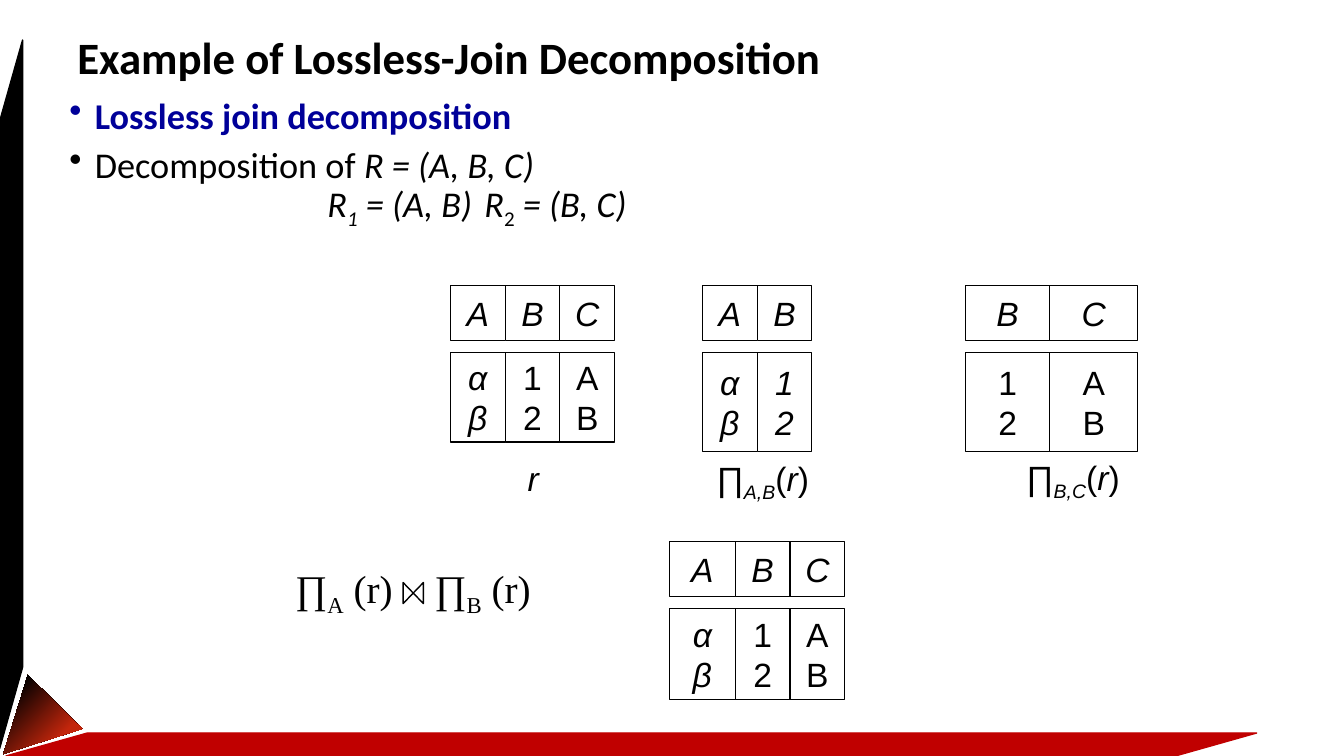
from dataclasses import dataclass

from lxml.etree import SubElement
from pptx import Presentation
from pptx.dml.color import RGBColor
from pptx.enum.shapes import MSO_SHAPE as Preset
from pptx.enum.text import MSO_ANCHOR as Anchor, PP_ALIGN as Align
from pptx.oxml import parse_xml
from pptx.oxml.ns import nsdecls, qn
from pptx.util import Cm, Pt


@dataclass(frozen=True)
class Theme:
    black: str = "000000"
    white: str = "FFFFFF"
    red: str = "C00000"
    blue: str = "000099"
    # Gradient stops of the corner triangle: percent, colour
    corner: tuple = ((23, "000000"), (23, "E82D0F"), (24, "000000"),
                     (69, "C3260C"), (97, "B6240C"))
    heading_font: str = "Calibri"
    table_font: str = "Arial"
    formula_font: str = "Times New Roman"
    title_size: float = 32
    body_size: float = 25.9
    table_size: float = 24
    formula_size: float = 28


THEME = Theme()
HEADER_HEIGHT = 1.4
BODY_OFFSET = 1.69


def rgb(colour):
    return RGBColor.from_string(colour)


def set_font(paragraph, family, size, colour=THEME.black, bold=False, italic=None):
    font = paragraph.font
    font.name, font.size, font.bold, font.italic = family, Pt(size), bold, italic
    font.color.rgb = rgb(colour)


def add_runs(paragraph, runs):
    """Each run is (text, style); style may hold i (italic) and s (subscript)."""
    for text, style in runs:
        if text == "\n":
            paragraph.add_line_break()
            continue
        run = paragraph.add_run()
        run.text = text
        if "i" in style:
            run.font.italic = True
        if "s" in style:
            run.font._element.set("baseline", "-25000")


def set_layout(paragraph, indent, tabs, bullet=None):
    """Give a paragraph a hanging indent, tab stops and perhaps a bullet."""
    properties = paragraph._p.get_or_add_pPr()
    properties.set("marL", str(Cm(indent)))
    properties.set("indent", str(-Cm(indent)))
    parts = []
    if bullet:
        parts.append(parse_xml(f'<a:buChar {nsdecls("a")} char="{bullet}"/>'))
    stops = parse_xml(f'<a:tabLst {nsdecls("a")}/>')
    for position in tabs:
        SubElement(stops, qn("a:tab"), pos=str(Cm(position)), algn="l")
    parts.append(stops)
    defaults = properties.find(qn("a:defRPr"))
    for part in parts:
        defaults.addprevious(part)


def add_text_box(slide, left, top, width, height, anchor=Anchor.TOP):
    box = slide.shapes.add_textbox(Cm(left), Cm(top), Cm(width), Cm(height))
    frame = box.text_frame
    frame.word_wrap = True
    frame.vertical_anchor = anchor
    return frame


def add_plain_shape(slide, preset, left, top, width, height, rotation=0):
    shape = slide.shapes.add_shape(preset, Cm(left), Cm(top), Cm(width), Cm(height))
    shape.shadow.inherit = False
    shape.rotation = rotation
    return shape


def paint(shape, fill, line, weight):
    shape.fill.solid()
    shape.fill.fore_color.rgb = rgb(fill)
    shape.line.color.rgb = rgb(line)
    shape.line.width = Pt(weight)


def add_edge(slide, left, top, length, rotation, colour, flipped=False):
    edge = add_plain_shape(slide, Preset.PARALLELOGRAM, left, top, length, 0.58, rotation)
    edge.adjustments[0] = 3.54
    paint(edge, colour, colour, 1)
    if flipped:
        edge._element.spPr.xfrm.set("flipV", "1")


def add_corner(slide):
    corner = add_plain_shape(slide, Preset.FLOWCHART_MERGE, -0.23, 17.42, 1.93, 1.85, 44.8)
    corner.line.fill.background()
    corner.fill.gradient()
    corner.fill.gradient_angle = 0
    stops = corner._element.spPr.find(qn("a:gradFill")).find(qn("a:gsLst"))
    for stop in list(stops):
        stops.remove(stop)
    for percent, colour in THEME.corner:
        stop = SubElement(stops, qn("a:gs"), pos=str(percent * 1000))
        SubElement(stop, qn("a:srgbClr"), val=colour)


def add_cell(slide, left, top, width, height, values, italic):
    cell = add_plain_shape(slide, Preset.RECTANGLE, left, top, width, height)
    paint(cell, THEME.white, THEME.black, 0.75)
    frame = cell.text_frame
    frame.word_wrap = False
    frame.vertical_anchor = Anchor.MIDDLE
    for index, value in enumerate(values):
        line = frame.paragraphs[0] if index == 0 else frame.add_paragraph()
        line.text = value
        line.alignment = Align.CENTER
        set_font(line, THEME.table_font, THEME.table_size, italic=italic)


def add_relation(slide, left, top, body_height, columns):
    """Each column is (attribute, values, width, italic values)."""
    for attribute, values, width, italic in columns:
        add_cell(slide, left, top, width, HEADER_HEIGHT, attribute, True)
        add_cell(slide, left, top + BODY_OFFSET, width, body_height, values, italic)
        left += width


def add_label(slide, left, top, width, height, runs):
    label = add_text_box(slide, left, top, width, height, Anchor.MIDDLE).paragraphs[0]
    label.alignment = Align.CENTER
    set_font(label, THEME.table_font, THEME.table_size)
    add_runs(label, runs)


def add_projection_label(slide, left, top, width, height, attributes):
    add_label(slide, left, top, width, height,
              [("∏", ""), (attributes, "is"), ("(", ""), ("r", "i"), (")", "")])


def add_title(slide, text):
    title = add_text_box(slide, 1.7, 0.56, 29.54, 1.9, Anchor.MIDDLE).paragraphs[0]
    title.text = text
    title.line_spacing = 0.9
    set_font(title, THEME.heading_font, THEME.title_size, bold=True)


def add_bullets(slide):
    frame = add_text_box(slide, 1.5, 2.44, 19.43, 3.35)
    definition = frame.paragraphs[0]
    example = frame.add_paragraph()
    add_runs(definition, [("Lossless join decomposition", "")])
    add_runs(example, [("Decomposition of ", ""), ("R = (A, B, C)", "i"), ("\n", ""),
                       ("\tR", "i"), ("1", "is"), (" = (A, B)\tR", "i"),
                       ("2", "s"), (" = (B, C)", "i")])
    for bullet, colour, bold in ((definition, THEME.blue, True),
                                 (example, THEME.black, False)):
        bullet.line_spacing = 0.8
        bullet.space_before = Pt(10)
        set_font(bullet, THEME.heading_font, THEME.body_size, colour, bold)
        set_layout(bullet, 0.64, (6.5, 10.46), "•")


def add_join_formula(slide):
    formula = add_text_box(slide, 7.19, 14.1, 9.12, 3.2).paragraphs[0]
    set_font(formula, THEME.formula_font, THEME.formula_size)
    set_layout(formula, 0.97, (3.71,))
    add_runs(formula, [("∏", ""), ("A", "s"), (" (r)\t∏", ""), ("B", "s"), (" (r)", "")])
    # Bowtie join sign between the two projections
    left, top, right, bottom = Cm(10.16), Cm(14.68), Cm(10.67), Cm(15.21)
    outline = slide.shapes.build_freeform(left, top)
    outline.add_line_segments([(left, bottom), (right, top), (right, bottom)], close=True)
    bowtie = outline.convert_to_shape()
    bowtie.shadow.inherit = False
    bowtie.fill.background()
    bowtie.line.color.rgb = rgb(THEME.black)
    bowtie.line.width = Pt(1)


def main():
    deck = Presentation()
    deck.slide_width, deck.slide_height = Cm(33.87), Cm(19.05)
    slide = deck.slides.add_slide(deck.slide_layouts[6])

    # Frame along the left and bottom edges
    add_edge(slide, -8.65, 9.65, 17.86, 90, THEME.black, flipped=True)
    add_corner(slide)
    add_edge(slide, 0.15, 18.47, 31.52, 180, THEME.red)

    # Heading and bullets
    add_title(slide, "Example of Lossless-Join Decomposition")
    add_bullets(slide)

    # Relation r and its two projections
    greek, digits, letters = "αβ", "12", "AB"
    narrow = 1.38
    b_and_c = [("B", digits, narrow, False), ("C", letters, narrow, False)]
    add_relation(slide, 11.35, 7.19, 2.26, [("A", greek, narrow, True), *b_and_c])
    add_relation(slide, 17.7, 7.19, 2.51,
                 [("A", greek, narrow, True), ("B", digits, narrow, True)])
    add_relation(slide, 24.33, 7.19, 2.51,
                 [("B", digits, 2.13, False), ("C", letters, 2.21, False)])
    add_label(slide, 12.93, 11.33, 1.02, 1.42, [("r", "i")])
    add_projection_label(slide, 16.87, 11.4, 4.7, 1.42, "A,B")
    add_projection_label(slide, 25.15, 10.8, 3.78, 2.57, "B,C")

    # Join of the projections and its result
    add_join_formula(slide)
    add_relation(slide, 16.87, 13.64, 2.29, [("A", greek, 1.66, True), *b_and_c])

    deck.save("out.pptx")


if __name__ == "__main__":
    main()
